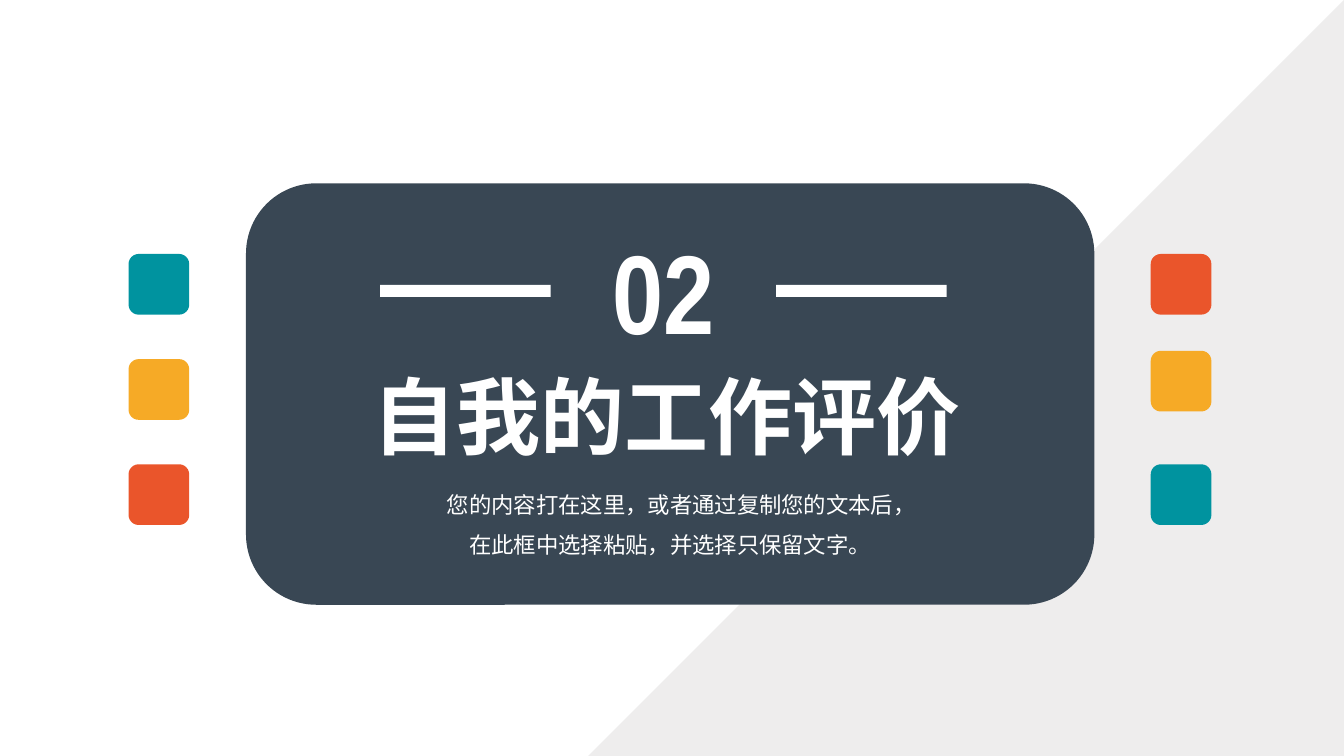
from lxml import etree
from pptx import Presentation
from pptx import util as u
from pptx.dml.color import RGBColor
from pptx.enum import shapes, text
from pptx.oxml import ns

COLORS = {
    "white": "FFFFFF",
    "gray": "E7E6E6",
    "slate": "394754",
    "teal": "00939F",
    "amber": "F6AA26",
    "red": "EA552B",
}
CJK_FONT = "Noto Sans CJK SC"
NUMBER_FONT = "Arial Narrow"


class SectionSlide:
    """Draw the styled elements of a section slide."""

    def __init__(self, presentation):
        self.slide = presentation.slides.add_slide(presentation.slide_layouts[6])

    def shape(self, kind, box, color, opacity=None, rotation=0):
        shape = self.slide.shapes.add_shape(kind, *map(u.Cm, box))
        shape.shadow.inherit = False
        shape.rotation = rotation
        shape.fill.solid()
        shape.fill.fore_color.rgb = RGBColor.from_string(COLORS[color])
        shape.line.fill.background()
        if opacity is not None:
            fill_color = shape.fill._xPr.find(".//" + ns.qn("a:srgbClr"))
            etree.SubElement(fill_color, ns.qn("a:alpha"), val=str(opacity * 1000))

    def label(self, content, box, size, font_name, bold=False, wrap=True,
              align=text.PP_ALIGN.CENTER, spacing=None):
        frame = self.slide.shapes.add_textbox(*map(u.Cm, box)).text_frame
        frame.word_wrap = wrap
        frame.auto_size = text.MSO_AUTO_SIZE.SHAPE_TO_FIT_TEXT
        paragraph = frame.paragraphs[0]
        paragraph.text = content
        paragraph.alignment = align
        paragraph.line_spacing = spacing
        font = paragraph.font
        font.size = u.Pt(size)
        font.bold = bold
        font.color.rgb = RGBColor.from_string(COLORS["white"])
        font.name = font_name
        properties = paragraph._p.pPr.find(ns.qn("a:defRPr"))
        etree.SubElement(properties, ns.qn("a:ea"), typeface=font_name)

    def squares(self, left, tops, colors):
        for top, color in zip(tops, colors):
            self.shape(shapes.MSO_SHAPE.ROUNDED_RECTANGLE, (left, top, 1.53, 1.53), color)


def main():
    presentation = Presentation()
    presentation.slide_width = u.Cm(33.87)
    presentation.slide_height = u.Cm(19.05)
    section = SectionSlide(presentation)

    section.shape(shapes.MSO_SHAPE.RIGHT_TRIANGLE, (14.82, 0, 19.05, 19.05), "gray",
                  opacity=70, rotation=270)
    section.shape(shapes.MSO_SHAPE.ROUNDED_RECTANGLE, (6.2, 4.62, 21.38, 10.62), "slate")
    section.label("自我的工作评价", (9.14, 9.07, 15.47, 2.82), 60, CJK_FONT,
                  bold=True, wrap=False, align=text.PP_ALIGN.LEFT)
    section.label("02", (13.89, 5.49, 5.66, 3.68), 80, NUMBER_FONT, bold=True)
    for left in (9.58, 19.56):
        section.shape(shapes.MSO_SHAPE.RECTANGLE, (left, 7.18, 4.3, 0.3), "white")
    section.label("您的内容打在这里，或者通过复制您的文本后，在此框中选择粘贴，并选择只保留文字。",
                  (10.85, 11.91, 12.09, 2.18), 16, CJK_FONT, spacing=1.5)

    palette = ("teal", "amber", "red")
    section.squares(3.24, (6.4, 9.05, 11.7), palette)
    section.squares(29, (6.4, 8.84, 11.7), reversed(palette))
    presentation.save("out.pptx")


if __name__ == "__main__":
    main()
